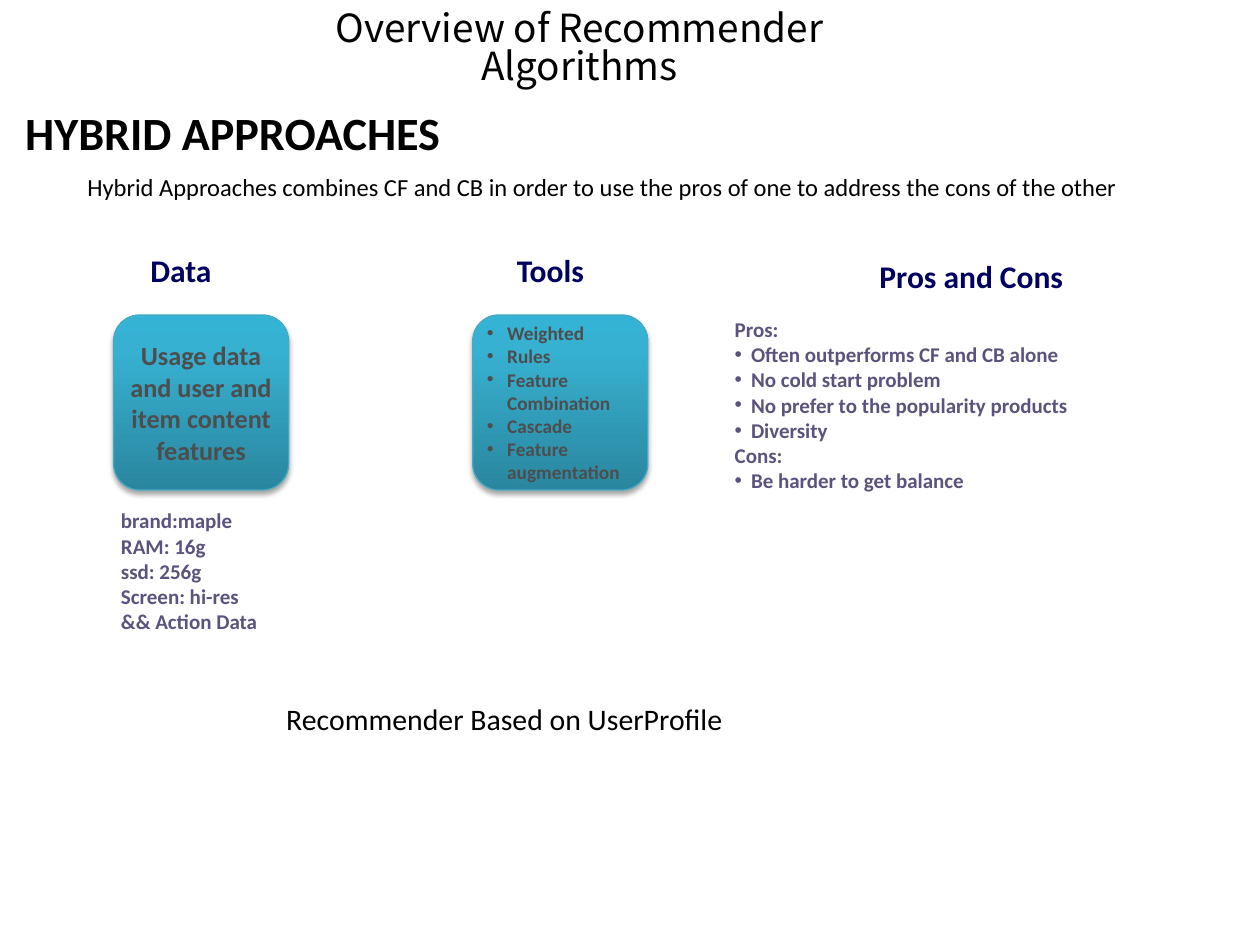
from dataclasses import dataclass

from lxml import etree
from pptx import Presentation
from pptx.dml.color import RGBColor
from pptx.enum.shapes import MSO_SHAPE
from pptx.enum.text import MSO_ANCHOR, MSO_AUTO_SIZE, PP_ALIGN
from pptx.oxml import parse_xml
from pptx.oxml.ns import nsdecls, qn
from pptx.util import Cm, Pt

ROUNDED = MSO_SHAPE.ROUNDED_RECTANGLE
MIDDLE, TOP = MSO_ANCHOR.MIDDLE, MSO_ANCHOR.TOP
CENTER, LEFT = PP_ALIGN.CENTER, PP_ALIGN.LEFT
FIT, FIXED = MSO_AUTO_SIZE.SHAPE_TO_FIT_TEXT, MSO_AUTO_SIZE.NONE
TITLE_AND_CONTENT = 1


@dataclass(frozen=True)
class Style:
    size: float
    color: str
    bold: bool = False
    font: str = "Calibri"


class Theme:
    title = Style(22.1, "000000", font="Noto Sans CJK SC")
    section = Style(26.4, "000000", True)
    summary = Style(14, "000000")
    heading = Style(18, "000061", True)
    detail = Style(12, "5C527E", True)
    data_card = Style(15, "4D4D4D", True)
    tools_card = Style(11, "4D4D4D", True)
    footer = Style(17, "000000")
    card_line = "46AAC4"
    card_stops = ((0, "2A869F"), (80, "37B1D1"), (100, "34B3D5"))


INSET = Cm(0.13)
CARD_SIZE, CARD_TOP = 3.53, 6.35
DATA_LEFT, TOOLS_LEFT = 2.29, 9.53


def set_bullet(paragraph, indent):
    """Hang the paragraph on a bullet, or clear the bullet when indent is 0."""
    properties = paragraph._p.get_or_add_pPr()
    properties.set("marL", str(Cm(indent)))
    properties.set("indent", str(-Cm(indent)))
    if indent:
        etree.SubElement(properties, qn("a:buFont")).set("typeface", "Arial")
        etree.SubElement(properties, qn("a:buChar")).set("char", "•")
    else:
        etree.SubElement(properties, qn("a:buNone"))


def write(shape, lines, style, align=LEFT, anchor=TOP, wrap=False,
          auto_size=FIT, indent=0, unbulleted=(), spacing=1.0):
    frame = shape.text_frame
    frame.word_wrap = wrap
    frame.auto_size = auto_size
    frame.vertical_anchor = anchor
    frame.margin_left = frame.margin_right = INSET
    frame.margin_top = frame.margin_bottom = INSET
    frame.text = "\n".join(lines)
    for paragraph, line in zip(frame.paragraphs, lines):
        paragraph.alignment = align
        paragraph.line_spacing = spacing
        paragraph.space_before = Pt(0)
        set_bullet(paragraph, 0 if line in unbulleted else indent)
        font = paragraph.font
        font.name, font.size, font.bold = style.font, Pt(style.size), style.bold
        font.color.rgb = RGBColor.from_string(style.color)


def place(shape, left, top, width, height):
    shape.left, shape.top = Cm(left), Cm(top)
    shape.width, shape.height = Cm(width), Cm(height)


def add_text(slide, box, lines, style, **layout):
    write(slide.shapes.add_textbox(*map(Cm, box)), lines, style, **layout)


def add_card(slide, left, lines, style, **layout):
    card = slide.shapes.add_shape(
        ROUNDED, *map(Cm, (left, CARD_TOP, CARD_SIZE, CARD_SIZE)))
    card.adjustments[0] = 0.15
    card.line.color.rgb = RGBColor.from_string(Theme.card_line)
    card.line.width = Pt(0.75)
    card.shadow.inherit = False

    # Three-stop gradient, running upwards
    stops = "".join(
        f'<a:gs pos="{position * 1000}"><a:srgbClr val="{color}"/></a:gs>'
        for position, color in Theme.card_stops)
    gradient = parse_xml(
        f'<a:gradFill {nsdecls("a")} rotWithShape="1"><a:gsLst>{stops}</a:gsLst>'
        '<a:lin ang="16200000" scaled="0"/></a:gradFill>')
    properties = card._element.spPr
    properties.find(qn("a:prstGeom")).addnext(gradient)

    # Soft shadow straight below
    properties.find(qn("a:effectLst")).append(parse_xml(
        f'<a:outerShdw {nsdecls("a")} blurRad="{Pt(3)}" dist="{Pt(1.8)}" '
        'dir="5400000" rotWithShape="0"><a:srgbClr val="000000">'
        '<a:alpha val="35000"/></a:srgbClr></a:outerShdw>'))
    write(card, lines, style, anchor=MIDDLE, wrap=True, auto_size=FIXED, **layout)


def main():
    deck = Presentation()
    deck.slide_width, deck.slide_height = Cm(25.4), Cm(19.05)
    slide = deck.slides.add_slide(deck.slide_layouts[TITLE_AND_CONTENT])
    title, pros_and_cons = slide.placeholders

    # Title, section and summary
    place(title, 4.9, 0.13, 13.56, 1.75)
    write(title, ["Overview of Recommender Algorithms"], Theme.title, align=CENTER,
          anchor=MIDDLE, wrap=True, auto_size=FIXED, spacing=0.82)
    add_text(slide, (0.38, 1.78, 8.92, 1.75), ["HYBRID APPROACHES"], Theme.section,
             anchor=MIDDLE, wrap=True, auto_size=FIXED)
    add_text(slide, (1.63, 3.33, 23.19, 0.81),
             ["Hybrid Approaches combines CF and CB in order to use the pros of one "
              "to address the cons of the other"], Theme.summary)

    # Column headings
    for heading, left, top, width in (("Data", 2.9, 4.93, 1.63),
                                      ("Tools", 10.29, 4.93, 1.78),
                                      ("Pros and Cons", 17.6, 5.05, 4.42)):
        add_text(slide, (left, top, width, 0.99), [heading], Theme.heading)

    # Data column
    add_card(slide, DATA_LEFT,
             ["Usage data", "and user and item content features"],
             Theme.data_card, align=CENTER)
    add_text(slide, (2.31, 10.11, 3.28, 2.72),
             ["brand:maple", "RAM: 16g", "ssd: 256g", "Screen: hi-res",
              "&& Action Data"], Theme.detail)

    # Tools column
    add_card(slide, TOOLS_LEFT,
             ["Weighted", "Rules", "Feature Combination", "Cascade",
              "Feature augmentation"], Theme.tools_card, indent=0.41)

    # Pros and cons column
    place(pros_and_cons, 14.68, 6.25, 8, 4.22)
    write(pros_and_cons,
          ["Pros:", "Often outperforms CF and CB alone", "No cold start problem",
           "No prefer to the popularity products", "Diversity",
           "Cons:", "Be harder to get balance"],
          Theme.detail, indent=0.33, unbulleted=("Pros:", "Cons:"))

    # Closing line
    add_text(slide, (5.64, 14, 9.8, 0.97), ["Recommender Based on UserProfile"],
             Theme.footer)

    deck.save("out.pptx")


if __name__ == "__main__":
    main()
